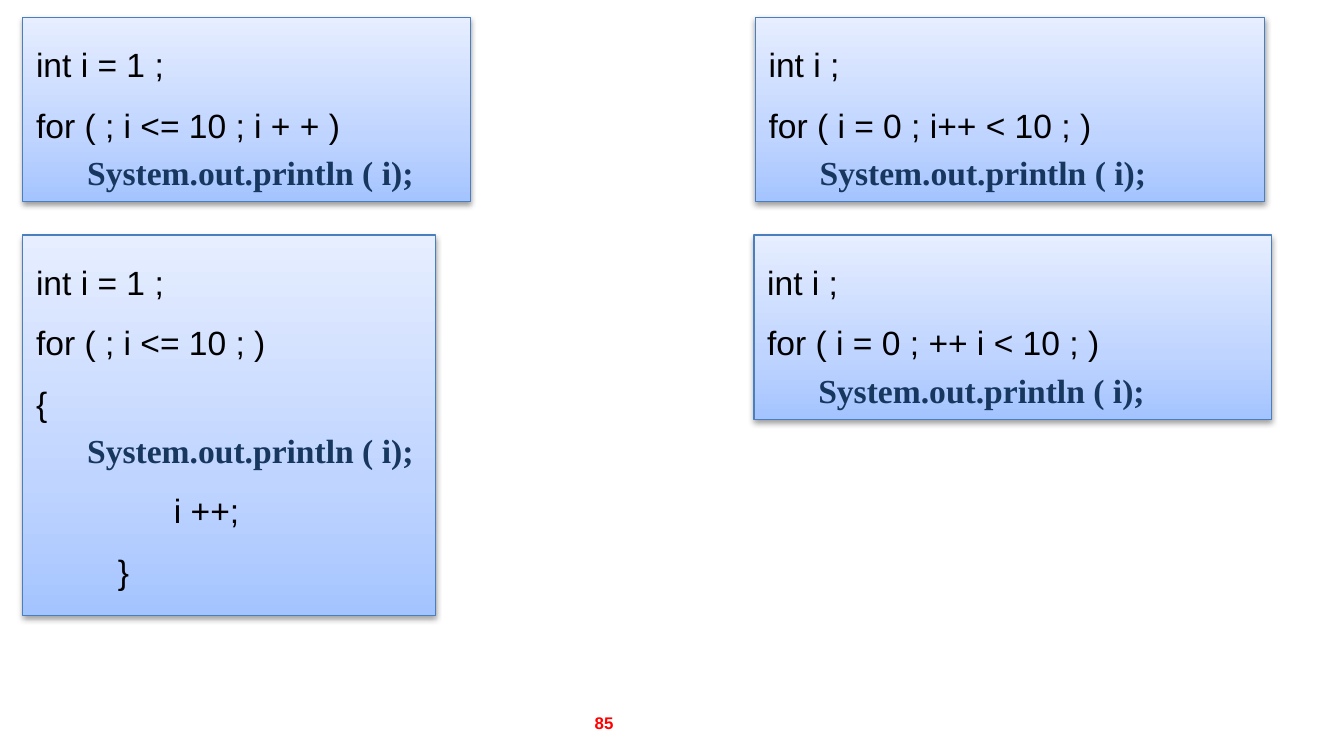
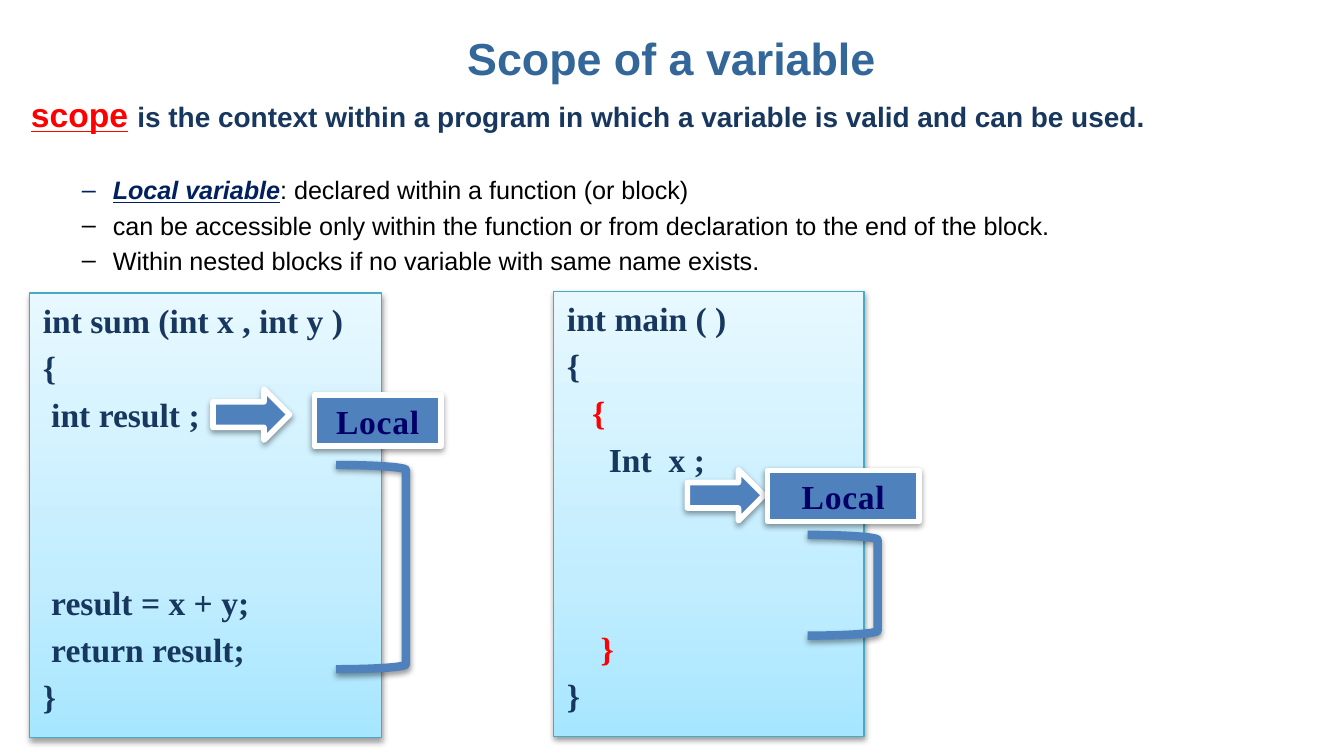
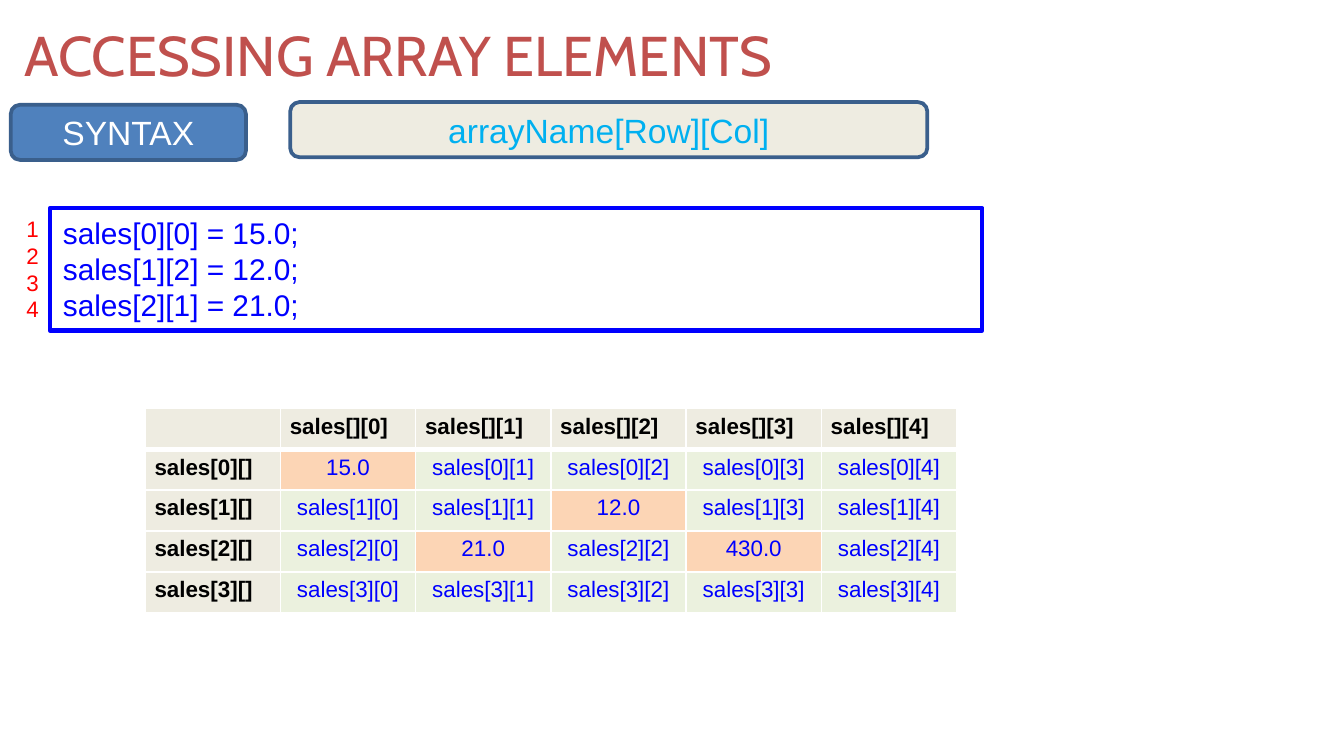
from copy import deepcopy

from lxml import etree
from pptx import Presentation
from pptx.dml.color import RGBColor
from pptx.enum.shapes import MSO_SHAPE
from pptx.enum.text import MSO_ANCHOR, MSO_AUTO_SIZE, PP_ALIGN
from pptx.oxml.ns import qn
from pptx.util import Inches, Pt

RECT, ROUNDED = MSO_SHAPE.RECTANGLE, MSO_SHAPE.ROUNDED_RECTANGLE
ARROW, BRACKET = MSO_SHAPE.DOWN_ARROW, MSO_SHAPE.RIGHT_BRACKET
LEFT, CENTER, RIGHT = PP_ALIGN.LEFT, PP_ALIGN.CENTER, PP_ALIGN.RIGHT
TOP, MIDDLE = MSO_ANCHOR.TOP, MSO_ANCHOR.MIDDLE

SANS, SERIF, DISPLAY = "Arial", "Times New Roman", "Cabin"
BLACK, WHITE, RED, NAVY = "000000", "FFFFFF", "FF0000", "17375E"
BLUE, PURE_BLUE, BEIGE = "4F81BD", "0000FF", "EEECE1"
OUTLINE, PEACH, PALE_GREEN = "3A5F8C", "FCD5B5", "EBF1DE"
STOPS = (0, 0.35, 1)
BLUE_PANEL = (("A4C4FF", "BFD4FF", "E6EEFF"), "4B7EBC")
CYAN_PANEL = (("A7E6FF", "C1EDFF", "E7F8FF"), "46AAC5")
CODE = dict(font=SERIF, color=NAVY, bold=True)
TIGHT = (0.07, 0.04)
LINE_GAP = 3.6      # points before a code line
BLOCK_GAP = 79.2    # points before a code line that follows three empty lines
PRINT = "System.out.println ( i);"


def rgb(color):
    return RGBColor.from_string(color)


def add_span(para, text, size=18, font=SANS, color=BLACK, bold=False,
             italic=False, underline=False, tracking=None):
    span = para.add_run()
    span.text = text
    style = span.font
    style.size, style.name = Pt(size), font
    style.bold, style.italic, style.underline = bold, italic, underline
    style.color.rgb = rgb(color)
    if tracking:
        span._r.get_or_add_rPr().set("spc", str(int(tracking * 100)))


def add_para(frame, text, align=LEFT, spacing=1, before=0, margin=0, indent=0,
             bullet=None, **style):
    """Write into the first paragraph while it is empty, else into a new one."""
    para = frame.paragraphs[0]
    if para.runs:
        para = frame.add_paragraph()
    para.alignment, para.line_spacing = align, spacing
    para.space_before = Pt(before)
    props = para._p.get_or_add_pPr()
    props.set("marL", str(Inches(margin)))
    props.set("indent", str(Inches(indent)))
    if bullet:
        etree.SubElement(props, qn("a:buChar")).set("char", bullet)
    else:
        etree.SubElement(props, qn("a:buNone"))
    add_span(para, text, **style)
    return para


def set_frame(frame, anchor=TOP, insets=(0.1, 0.05)):
    frame.word_wrap = True
    frame.auto_size = MSO_AUTO_SIZE.NONE
    frame.vertical_anchor = anchor
    frame.margin_left = frame.margin_right = Inches(insets[0])
    frame.margin_top = frame.margin_bottom = Inches(insets[1])
    return frame


def place(shape, left, top, width, height):
    shape.left, shape.top = Inches(left), Inches(top)
    shape.width, shape.height = Inches(width), Inches(height)


def add_shadow(shape):
    effects = shape._element.spPr.find(qn("a:effectLst"))
    shadow = etree.SubElement(effects, qn("a:outerShdw"), blurRad="40000",
                              dist="20000", dir="5400000", rotWithShape="0")
    tint = etree.SubElement(shadow, qn("a:srgbClr"), val=BLACK)
    etree.SubElement(tint, qn("a:alpha"), val="38000")


def add_box(page, kind, at, line, weight, fill=None, shadow=False):
    """Draw a preset shape; fill is one colour, three gradient colours or None."""
    box = page.shapes.add_shape(kind, *map(Inches, at))
    box.shadow.inherit = False
    if shadow:
        add_shadow(box)
    if fill is None:
        box.fill.background()
    elif isinstance(fill, str):
        box.fill.solid()
        box.fill.fore_color.rgb = rgb(fill)
    else:
        box.fill.gradient()
        box.fill.gradient_angle = 90
        stops = box._element.spPr.find(".//" + qn("a:gsLst"))
        stops.append(deepcopy(stops[0]))
        for stop, position, color in zip(box.fill.gradient_stops, STOPS, fill):
            stop.position, stop.color.rgb = position, rgb(color)
    box.line.color.rgb = rgb(line)
    box.line.width = Pt(weight)
    return box


def add_panel(page, at, look):
    fill, line = look
    box = add_box(page, RECT, at, line, 0.75, fill, shadow=True)
    return set_frame(box.text_frame)


def add_loop(page, at, head, tail=()):
    """Show a for loop: its opening lines, the print call and its closing lines."""
    frame = add_panel(page, at, BLUE_PANEL)
    for text in head:
        add_para(frame, text, spacing=1.5)
    add_para(frame, PRINT, before=LINE_GAP, margin=0.61, indent=-0.23, **CODE)
    for text in tail:
        add_para(frame, text, spacing=1.5, margin=0.61)


def add_function(page, at, lines, block_end):
    """Show a function; block_end is the index of the line after the free space."""
    frame = add_panel(page, at, CYAN_PANEL)
    for index, (text, color) in enumerate(lines):
        gap = BLOCK_GAP if index == block_end else LINE_GAP if index else 0
        add_para(frame, text, before=gap, margin=0.23, indent=-0.23,
                 **{**CODE, "color": color})


def add_local_mark(page, arrow, label, bracket):
    """Point from a declaration to its label and bracket the scope below it."""
    pointer = add_box(page, ARROW, (*arrow, 0.38, 0.57), WHITE, 3, BLUE, True)
    pointer.rotation = 270
    tag = add_box(page, RECT, label, WHITE, 3, BLUE, True)
    add_para(set_frame(tag.text_frame, insets=TIGHT), "Local", align=CENTER,
             tracking=0.4, **{**CODE, "color": "000066"})
    scope = add_box(page, BRACKET, bracket, BLUE, 4.5, shadow=True)
    scope.adjustments[0] = 0.07


def set_title(page, text, at, **style):
    title = page.shapes.title
    place(title, *at)
    add_para(set_frame(title.text_frame, MIDDLE), text, **style)


def add_borders(cell, top, bottom):
    props = cell._tc.get_or_add_tcPr()
    for side, weight in (("L", 1), ("R", 1), ("T", top), ("B", bottom)):
        edge = etree.SubElement(props, qn("a:ln" + side), w=str(Pt(weight)))
        paint = etree.SubElement(edge, qn("a:solidFill"))
        etree.SubElement(paint, qn("a:srgbClr"), val=WHITE)


def fill_cell(cell, text, fill, top, bottom, **style):
    add_borders(cell, top, bottom)
    cell.fill.solid()
    cell.fill.fore_color.rgb = rgb(fill)
    cell.margin_left = cell.margin_right = Inches(TIGHT[0])
    cell.margin_top = cell.margin_bottom = Inches(TIGHT[1])
    if text:
        add_para(cell.text_frame, text, size=12, **style)
    else:
        para = cell.text_frame.paragraphs[0]
        etree.SubElement(para._p, qn("a:endParaRPr"), sz="1200")


def add_sales_table(page):
    values = {(0, 0): "15.0", (1, 2): "12.0", (2, 1): "21.0", (2, 3): "430.0"}
    rows, columns = 4, 5
    table = page.shapes.add_table(rows + 1, columns + 1, Inches(1.08), Inches(3.04),
                                  Inches(6.04), Inches(1.52)).table
    for row in range(-1, rows):
        edges = dict(top=3 if row == 0 else 1, bottom=3 if row < 0 else 1)
        for column in range(-1, columns):
            cell = table.cell(row + 1, column + 1)
            if row < 0 or column < 0:
                text = (f"sales[{row}][]" if row >= 0
                        else f"sales[][{column}]" if column >= 0 else "")
                fill_cell(cell, text, BEIGE, bold=True, **edges)
            else:
                value = values.get((row, column))
                fill_cell(cell, value or f"sales[{row}][{column}]",
                          PEACH if value else PALE_GREEN,
                          align=CENTER, color=PURE_BLUE, **edges)


def build_loops(deck):
    page = deck.slides.add_slide(deck.slide_layouts[6])
    number = page.shapes.add_textbox(*map(Inches, (3.33, 5.23, 2.33, 0.3)))
    add_para(set_frame(number.text_frame, MIDDLE), "85", align=CENTER, size=9,
             color=RED, bold=True)
    add_loop(page, (0.17, 0.13, 3.33, 1.37), ["int i = 1 ;", "for ( ; i <= 10 ; i + + )"])
    add_loop(page, (0.17, 1.75, 3.07, 2.83), ["int i = 1 ;", "for ( ; i <= 10 ; )", "{"],
             ["      i ++;", "}"])
    add_loop(page, (5.62, 0.13, 3.79, 1.37), ["int i ;", "for ( i = 0 ; i++ < 10 ; )"])
    add_loop(page, (5.61, 1.75, 3.85, 1.37), ["int i ;", "for ( i = 0 ; ++ i < 10 ; )"])


def build_scope(deck):
    page = deck.slides.add_slide(deck.slide_layouts[1])
    set_title(page, "Scope of a variable", (1.62, 0.12, 6.75, 0.62), align=CENTER,
              size=24, color="336699", bold=True)
    body = page.placeholders[1]
    place(body, 0.13, 0.65, 9.54, 2.15)
    frame = set_frame(body.text_frame)
    para = add_para(frame, "scope", margin=0.28, indent=-0.28, color=RED, bold=True,
                    underline=True)
    add_span(para, " ", color=NAVY, bold=True)
    add_span(para, "is the context within a program in which a variable is valid "
             "and can be used.", size=15, color=NAVY, bold=True)
    item = dict(margin=0.61, indent=-0.23, bullet="–", size=13.5)
    para = add_para(frame, "Local variable", before=21.6, color="002060", bold=True,
                    italic=True, underline=True, **item)
    add_span(para, ": declared within a function (or block)", size=13.5)
    for text in ("can be accessible only within the function or from declaration "
                 "to the end of the block.",
                 "Within nested blocks if no variable with same name exists."):
        add_para(frame, text, before=2.7, **item)

    add_function(page, (4.12, 2.17, 2.31, 3.31),
                 [("int main ( )", NAVY), ("{", NAVY), ("   {", RED),
                  ("     Int  x ;", NAVY), ("    }", RED), ("}", NAVY)], block_end=4)
    add_function(page, (0.22, 2.18, 2.62, 3.31),
                 [(text, NAVY) for text in
                  ("int sum (int x , int y )", "{", " int result ;",
                   " result = x + y;", " return result;", "}")], block_end=3)
    add_local_mark(page, (1.68, 2.8), (2.34, 2.94, 0.94, 0.38), (2.5, 3.46, 0.52, 1.52))
    add_local_mark(page, (5.21, 3.4), (5.71, 3.5, 1.13, 0.38), (6.01, 3.98, 0.52, 0.75))


def build_array(deck):
    page = deck.slides.add_slide(deck.slide_layouts[5])
    set_title(page, "ACCESSING ARRAY ELEMENTS", (0.08, 0.16, 7.11, 0.49), size=30,
              font=DISPLAY, color="C0504D")
    add_sales_table(page)
    code = add_box(page, RECT, (0.37, 1.55, 6.94, 0.91), PURE_BLUE, 2.25)
    frame = set_frame(code.text_frame)
    for text in ("sales[0][0] = 15.0;", "sales[1][2] = 12.0;", "sales[2][1] = 21.0;"):
        add_para(frame, text, size=16, color=PURE_BLUE)
    numbers = page.shapes.add_textbox(*map(Inches, (0.1, 1.55, 0.26, 0.91)))
    frame = set_frame(numbers.text_frame, insets=(0.07, 0.05))
    for number in range(1, 5):
        add_para(frame, str(number), align=RIGHT, size=12, color=RED)
    for text, at, fill, color in (
            ("arrayName[Row][Col]", (2.16, 0.76, 4.74, 0.41), BEIGE, "00B0F0"),
            ("SYNTAX", (0.08, 0.78, 1.75, 0.41), BLUE, WHITE)):
        box = add_box(page, ROUNDED, at, OUTLINE, 2, fill)
        add_para(set_frame(box.text_frame, MIDDLE), text, align=CENTER, color=color)


def main():
    deck = Presentation()
    deck.slide_width = Inches(10)
    deck.slide_height = deck.slide_width * 9 // 16
    build_loops(deck)
    build_scope(deck)
    build_array(deck)
    deck.save("out.pptx")


if __name__ == "__main__":
    main()
